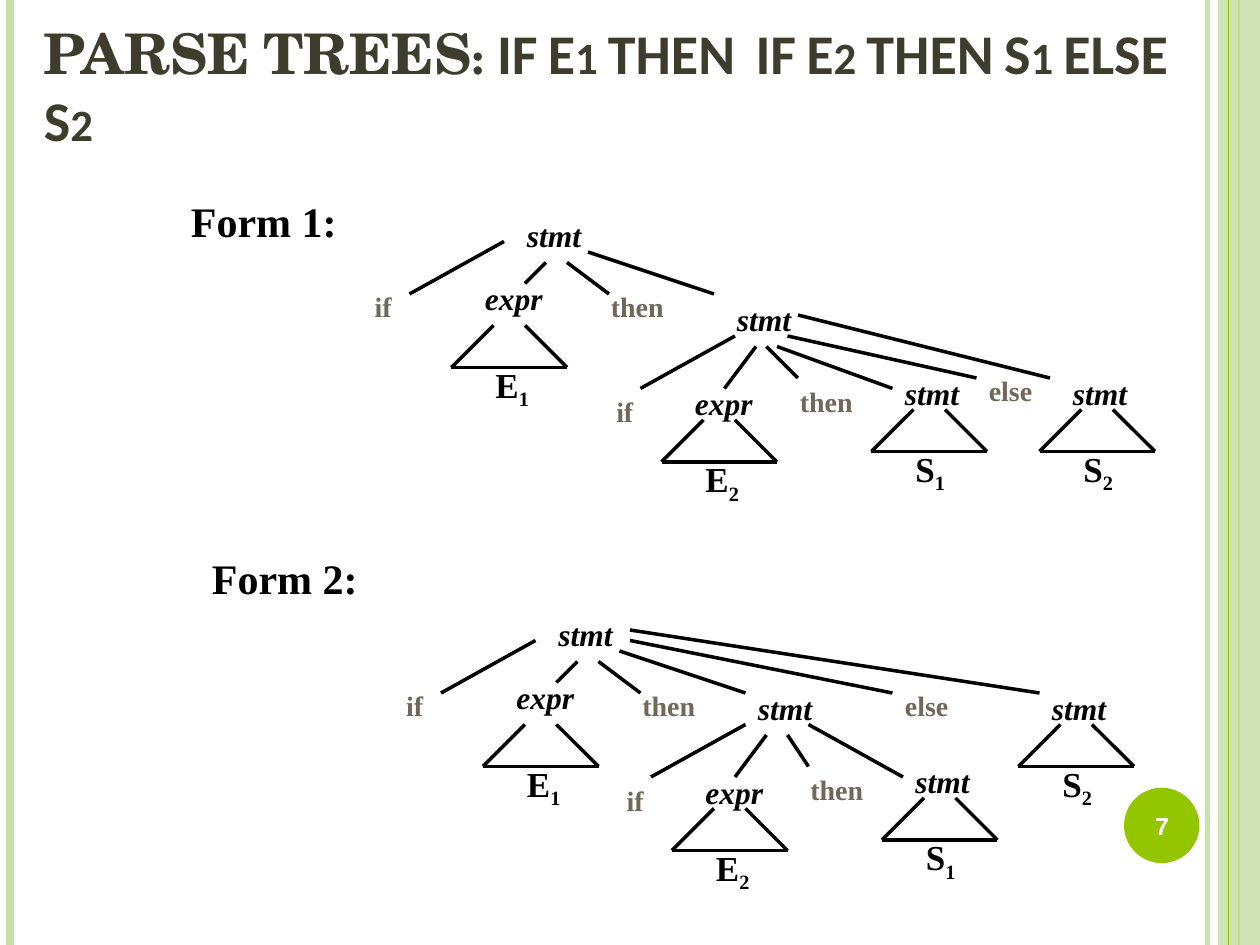
from dataclasses import dataclass

from lxml import etree
from pptx import Presentation
from pptx.dml.color import RGBColor
from pptx.enum.shapes import MSO_CONNECTOR, MSO_SHAPE
from pptx.enum.text import MSO_ANCHOR, PP_ALIGN
from pptx.oxml.ns import qn
from pptx.util import Cm, Pt

STRAIGHT = MSO_CONNECTOR.STRAIGHT
RECTANGLE, OVAL = MSO_SHAPE.RECTANGLE, MSO_SHAPE.OVAL
TOP, MIDDLE, BOTTOM = MSO_ANCHOR.TOP, MSO_ANCHOR.MIDDLE, MSO_ANCHOR.BOTTOM
LEFT, CENTER = PP_ALIGN.LEFT, PP_ALIGN.CENTER

BLACK = RGBColor(0x00, 0x00, 0x00)
WHITE = RGBColor(0xFF, 0xFF, 0xFF)
OLIVE = RGBColor(0x3E, 0x3D, 0x2D)
TAUPE = RGBColor(0x71, 0x68, 0x5A)
GREEN = RGBColor(0x94, 0xC6, 0x00)
PALE_GREEN = RGBColor(0xC8, 0xDF, 0xAA)

SERIF = "Times New Roman"
PAGE_WIDTH, PAGE_HEIGHT = Cm(25.4), Cm(19.05)
GRID = Cm(2.54) / 12  # the trees sit on a grid of twelve steps to the inch


@dataclass
class Node:
    """A tree node; all offsets are grid steps from its parent's corner."""
    word: str
    at: tuple
    branch: tuple = ()      # start and end of the line from the parent
    leaf: tuple = ()        # letter and subscript under a triangle
    drop: int = 4           # steps from the word's top to its triangle
    children: tuple = ()


def grid(steps):
    return round(steps * GRID)


def add_line(page, start, end, color=BLACK, width=2, opacity=None):
    line = page.shapes.add_connector(STRAIGHT, *start, *end)
    line.line.color.rgb = color
    line.line.width = Pt(width)
    etree.SubElement(line._element.spPr, qn("a:effectLst"))
    if opacity:
        set_opacity(line, opacity)


def set_opacity(shape, percent):
    color = next(shape._element.spPr.iter(qn("a:srgbClr")))
    etree.SubElement(color, qn("a:alpha")).set("val", str(percent * 1000))


def add_plain_shape(page, kind, box, color):
    shape = page.shapes.add_shape(kind, *box)
    shape.shadow.inherit = False
    shape.fill.solid()
    shape.fill.fore_color.rgb = color
    shape.line.fill.background()
    return shape


def add_text(page, box, align=LEFT, anchor=TOP):
    """Add an empty text box and return its frame and first paragraph."""
    frame = page.shapes.add_textbox(*box).text_frame
    frame.word_wrap = True
    frame.vertical_anchor = anchor
    para = frame.paragraphs[0]
    para.alignment = align
    return frame, para


def add_span(para, text, size, color=BLACK, font=SERIF, italic=False):
    span = para.add_run()
    span.text = text
    span.font.name = font
    span.font.size = Pt(size)
    span.font.bold = True
    span.font.italic = italic
    span.font.color.rgb = color
    return span


def add_frame_stripes(page):
    def stripe(x, color, width, opacity=None):
        add_line(page, (x, 0), (x, PAGE_HEIGHT), color, width, opacity)

    stripe(Cm(24.34), PALE_GREEN, 3, 93)
    stripe(Cm(0.21), PALE_GREEN, 4.5)
    stripe(Cm(24.98), GREEN, 1.5)
    band_left = Cm(24.55)
    band = add_plain_shape(page, RECTANGLE,
                           (band_left, 0, PAGE_WIDTH - band_left, PAGE_HEIGHT), PALE_GREEN)
    set_opacity(band, 87)
    stripe(Cm(24.77), GREEN, 0.75)


def add_page_number(page, left, top, size):
    add_plain_shape(page, OVAL, (left, top, size, size), GREEN)
    box = (left - Cm(0.08), top + Cm(0.05), size + Cm(0.18), size - Cm(0.08))
    _, para = add_text(page, box, CENTER, MIDDLE)
    add_span(para, "7", 14, WHITE, "Arial")


def add_title(page, box):
    frame, para = add_text(page, box, anchor=BOTTOM)
    frame.margin_bottom = Cm(1.36)
    parts = (("PARSE TREES: ", "TeX Gyre Schola"),
             ("IF E1 THEN  IF E2 THEN S1 ELSE S2", "Calibri"))
    for text, font in parts:
        span = add_span(para, text, 32, OLIVE, font)
        span.font._element.set("cap", "small")


def add_word(page, word, x, y):
    is_symbol = word in ("stmt", "expr")
    box = (grid(x), grid(y), grid(9), Cm(1.02 if is_symbol else 0.94))
    _, para = add_text(page, box, CENTER if word == "if" else LEFT)
    if is_symbol:
        add_span(para, word, 18, italic=True)
    else:
        add_span(para, word, 16, TAUPE)


def add_triangle(page, x, y, leaf):
    """Draw an open-topped triangle from its left shoulder, with the leaf below."""
    for start, end in (((0, 0), (-4, 4)), ((3, 0), (7, 4)), ((-4, 4), (7, 4))):
        add_grid_line(page, x, y, start, end)
    _, para = add_text(page, (grid(x - 1), grid(y + 3), grid(6), Cm(1.09)))
    letter, number = leaf
    add_span(para, letter, 20)
    subscript = add_span(para, number, 20)
    subscript.font._element.set("baseline", "-25000")


def add_grid_line(page, x, y, start, end):
    ends = [(grid(x + dx), grid(y + dy)) for dx, dy in (start, end)]
    add_line(page, *ends)


def add_tree(page, node, left, top):
    x, y = left + node.at[0], top + node.at[1]
    if node.branch:
        add_grid_line(page, left, top, *node.branch)
    add_word(page, node.word, x, y)
    if node.leaf:
        add_triangle(page, x + 2, y + node.drop, node.leaf)
    for child in node.children:
        add_tree(page, child, x, y)


def add_form(page, heading, heading_at, root, root_at):
    x, y = heading_at
    _, para = add_text(page, (grid(x), grid(y), grid(27), grid(6)))
    add_span(para, heading, 24)
    add_tree(page, root, *root_at)


def outer_statement(*rest):
    """Return the root 'if E1 then', followed by the rest of its children."""
    return Node("stmt", (0, 0), children=(
        Node("if", (-17, 7), ((-1, 3), (-10, 8))),
        Node("expr", (-4, 6), ((3, 5), (1, 7)), ("E", "1"), drop=5),
        Node("then", (8, 7), ((5, 5), (9, 8))),
        *rest))


INNER_BRANCH = ((7, 4), (19, 8))
FORM_1 = outer_statement(
    Node("stmt", (20, 8), INNER_BRANCH, children=(
        Node("if", (-14, 9), ((1, 4), (-8, 9))),
        Node("expr", (-4, 8), ((3, 5), (0, 9)), ("E", "2")),
        Node("then", (6, 8), ((4, 5), (7, 8))),
        Node("stmt", (16, 7), ((5, 5), (16, 9)), ("S", "1")),
        Node("else", (24, 7), ((6, 4), (24, 8))),
        Node("stmt", (32, 7), ((7, 2), (31, 8)), ("S", "2")))))
FORM_2 = outer_statement(
    Node("stmt", (19, 7), INNER_BRANCH, children=(
        Node("if", (-15, 9), ((0, 4), (-9, 9))),
        Node("expr", (-5, 8), ((2, 5), (-1, 9)), ("E", "2")),
        Node("then", (5, 8), ((4, 5), (6, 8))),
        Node("stmt", (15, 7), ((6, 4), (15, 9)), ("S", "1")))),
    Node("else", (33, 7), ((8, 3), (33, 8))),
    Node("stmt", (47, 7), ((8, 2), (47, 8)), ("S", "2")))


def main():
    deck = Presentation()
    deck.slide_width, deck.slide_height = PAGE_WIDTH, PAGE_HEIGHT
    page = deck.slides.add_slide(deck.slide_layouts[6])
    add_frame_stripes(page)
    add_page_number(page, Cm(22.66), Cm(15.88), Cm(1.52))
    add_title(page, (grid(3), grid(7), grid(111), grid(14)))
    add_form(page, "Form 1:", (17, 18), FORM_1, (49, 20))
    add_form(page, "Form 2:", (19, 52), FORM_2, (52, 58))
    deck.save("out.pptx")


if __name__ == "__main__":
    main()
